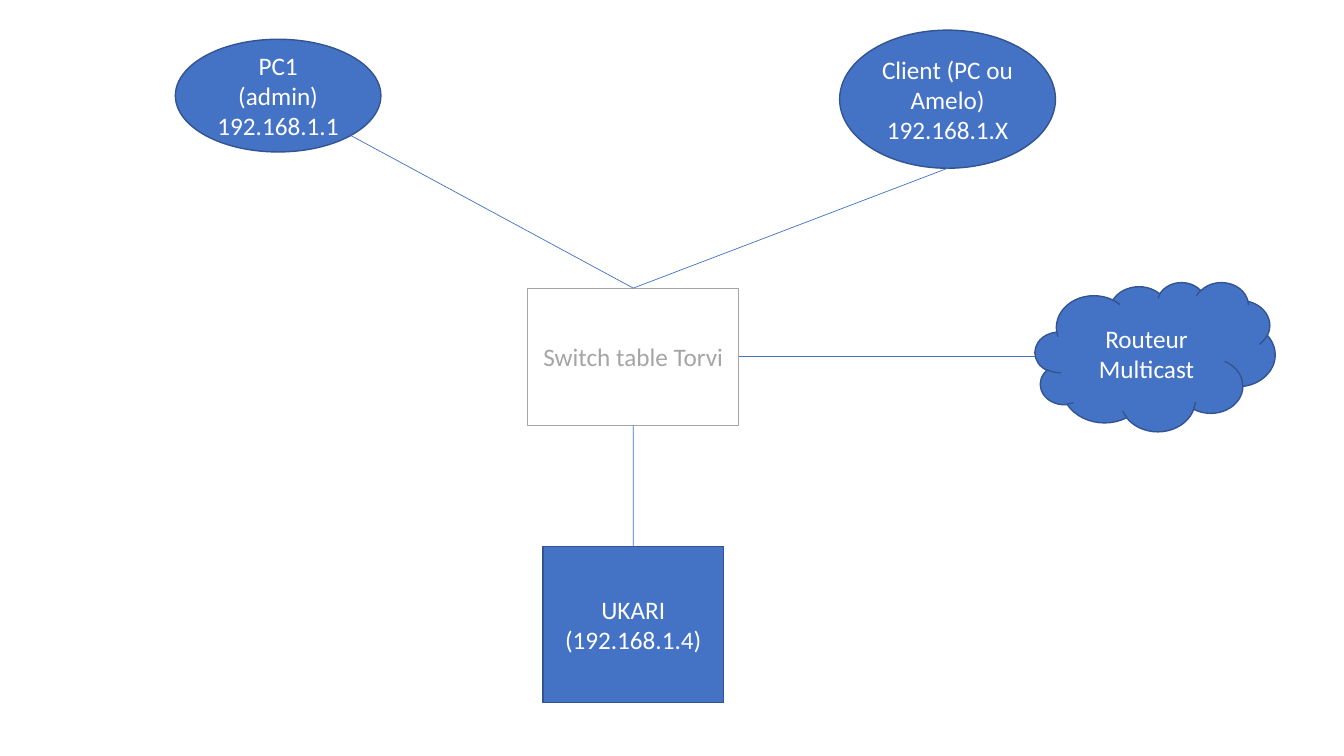
"""Network diagram: a switch linked to two clients, a head-end and a router."""
import math
from dataclasses import dataclass

import pptx
import pptx.enum.shapes
import pptx.enum.text
import pptx.util
from lxml import etree
from pptx.dml.color import RGBColor
from pptx.oxml.ns import qn

Cm = pptx.util.Cm
Pt = pptx.util.Pt
SHAPE = pptx.enum.shapes.MSO_SHAPE

COLORS = {"blue": "4472C4", "outline": "325491", "gray": "A5A5A5", "white": "FFFFFF"}
FONT = "Calibri"
TOP, BOTTOM, RIGHT = 0, 2, 3  # connection sites of a rectangle


@dataclass
class Node:
    """A device; the centre and size are in centimetres."""
    text: str
    kind: int
    cx: float
    cy: float
    width: float
    height: float
    fill: str | None = "blue"
    line: str = "outline"
    line_width: float = 1
    font: str = "white"


AXIS_X, AXIS_Y = 15.96, 8.99
SWITCH = Node("Switch table Torvi", SHAPE.RECTANGLE, AXIS_X, AXIS_Y, 5.31, 3.46,
              fill=None, line="gray", line_width=0.75, font="gray")
ADMIN = Node("PC1\n(admin)\n192.168.1.1", SHAPE.OVAL, 7.01, 2.41, 5.18, 2.84)
CLIENT = Node("Client (PC ou Amelo)\n192.168.1.X", SHAPE.OVAL, 23.88, 2.5, 5.44, 3.48)
HEAD_END = Node("UKARI\n(192.168.1.4)", SHAPE.RECTANGLE, AXIS_X, 15.74, 4.55, 3.94)
ROUTER = Node("Routeur Multicast", SHAPE.CLOUD, 29.11, AXIS_Y, 6.05, 3.76)


def rgb(name: str) -> RGBColor:
    """Return a named colour."""
    return RGBColor.from_string(COLORS[name])


def add_node(slide, node: Node):
    """Draw a device with its centred label."""
    sp = slide.shapes.add_shape(
        node.kind, Cm(node.cx - node.width / 2), Cm(node.cy - node.height / 2),
        Cm(node.width), Cm(node.height))
    sp.shadow.inherit = False
    if node.fill:
        sp.fill.solid()
        sp.fill.fore_color.rgb = rgb(node.fill)
    else:
        sp.fill.background()
    sp.line.color.rgb = rgb(node.line)
    sp.line.width = Pt(node.line_width)
    tf = sp.text_frame
    tf.text = node.text
    tf.word_wrap = True
    tf.vertical_anchor = pptx.enum.text.MSO_ANCHOR.MIDDLE
    for p in tf.paragraphs:
        p.alignment = pptx.enum.text.PP_ALIGN.CENTER
        for r in p.runs:
            r.font.name = FONT
            r.font.size = Pt(18)
            r.font.color.rgb = rgb(node.font)
    return sp


def add_link(slide, switch, site: int, x: float, y: float):
    """Draw a line from a site of the switch to a point, and return it."""
    cxn = slide.shapes.add_connector(
        pptx.enum.shapes.MSO_CONNECTOR.STRAIGHT, 0, 0, Cm(x), Cm(y))
    cxn.begin_connect(switch, site)
    cxn.line.color.rgb = rgb("blue")
    cxn.line.width = Pt(0.5)
    etree.SubElement(cxn._element.spPr, qn("a:effectLst"))
    return cxn


def main() -> None:
    """Build and save the slide."""
    prs = pptx.Presentation()
    prs.slide_width, prs.slide_height = Cm(33.87), Cm(19.05)
    slide = prs.slides.add_slide(prs.slide_layouts[6])

    switch = add_node(slide, SWITCH)
    add_node(slide, ADMIN)
    add_node(slide, CLIENT)
    head_end = add_node(slide, HEAD_END)
    add_node(slide, ROUTER)

    diagonal = math.sqrt(0.5) / 2  # lower right point of an ellipse
    add_link(slide, switch, TOP, ADMIN.cx + ADMIN.width * diagonal,
             ADMIN.cy + ADMIN.height * diagonal)
    add_link(slide, switch, TOP, CLIENT.cx, CLIENT.cy + CLIENT.height / 2)
    down = add_link(slide, switch, BOTTOM, AXIS_X, HEAD_END.cy - HEAD_END.height / 2)
    down.end_connect(head_end, TOP)
    add_link(slide, switch, RIGHT, ROUTER.cx - ROUTER.width / 2, AXIS_Y)

    prs.save("out.pptx")


main()
